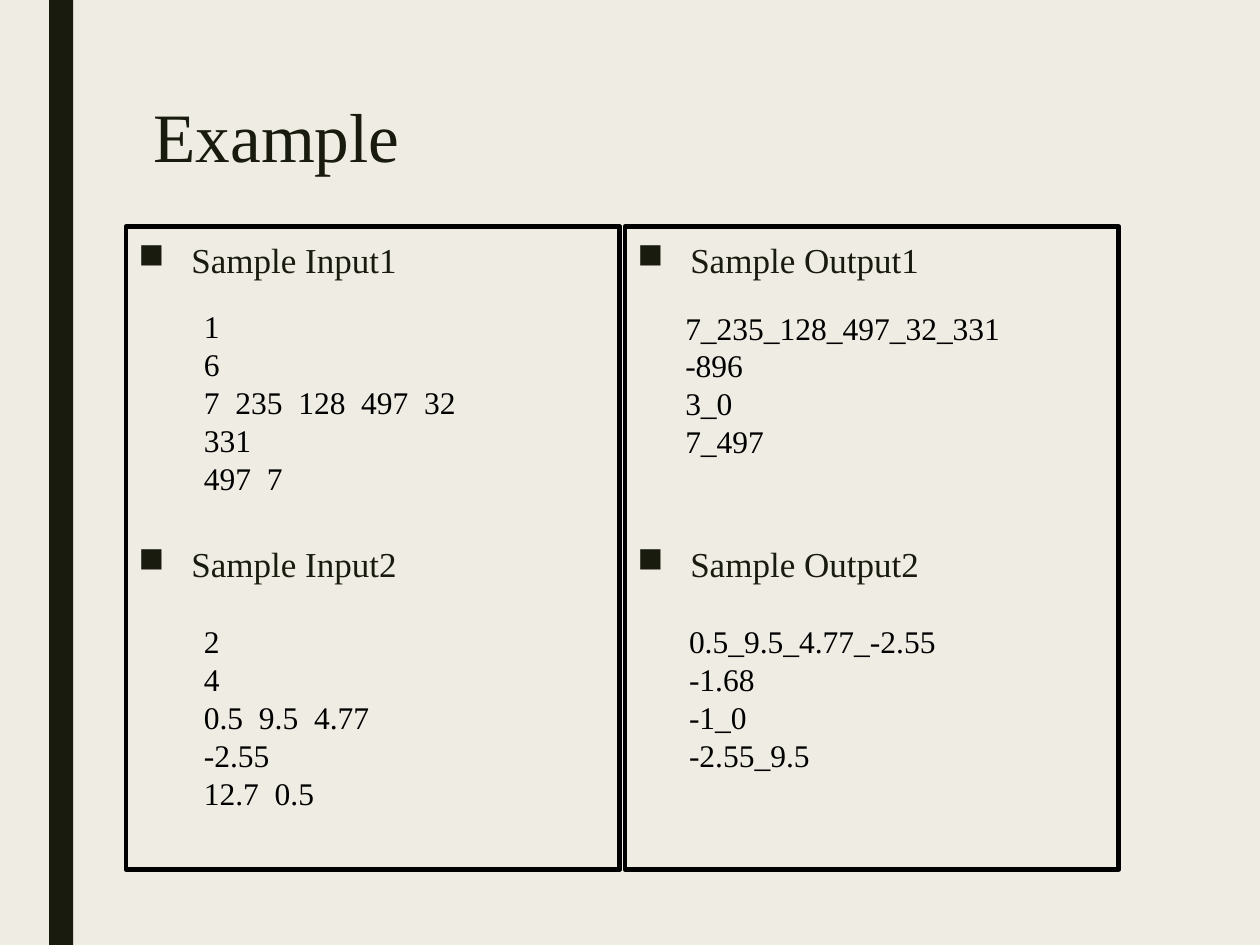
"""Build the slide with two pairs of sample inputs and outputs."""
from pptx import Presentation
from pptx import util as u
from pptx.dml.color import RGBColor
from pptx.enum import shapes, text
from pptx.oxml.ns import qn
from lxml import etree

OLIVE = RGBColor(0x19, 0x1B, 0x0E)
BLACK = RGBColor(0, 0, 0)
CREAM = RGBColor(0xEF, 0xED, 0xE3)
FONT = "Times New Roman"

deck = Presentation()
deck.slide_width, deck.slide_height = u.Inches(10), u.Inches(7.5)
slide = deck.slides.add_slide(deck.slide_layouts[6])
slide.background.fill.solid()
slide.background.fill.fore_color.rgb = CREAM


def add_text(left, top, width, height, lines, size, color):
    box = slide.shapes.add_textbox(*map(u.Inches, (left, top, width, height)))
    frame = box.text_frame
    frame.word_wrap = True
    frame.text = "\n".join(lines)
    for paragraph in frame.paragraphs:
        for run in paragraph.runs:
            run.font.name, run.font.size = FONT, u.Pt(size)
            run.font.color.rgb = color
    return frame


def add_rectangle(left, top, width, height):
    rectangle = slide.shapes.add_shape(
        shapes.MSO_SHAPE.RECTANGLE, *map(u.Inches, (left, top, width, height)))
    rectangle.shadow.inherit = False
    return rectangle


side_bar = add_rectangle(0.39, 0, 0.19, 7.5)
side_bar.fill.solid()
side_bar.fill.fore_color.rgb = OLIVE
side_bar.line.fill.background()

title = add_text(1.12, 0.75, 7.2, 0.73, ["Example"], 39.6, OLIVE)
title.vertical_anchor = text.MSO_ANCHOR.MIDDLE
title.paragraphs[0].line_spacing = 0.89

for left, kind in ((1, "Input"), (4.96, "Output")):
    headings = add_text(left, 1.87, 4.08, 4.94,
                        [f"Sample {kind}{number}" for number in (1, 2)], 20, OLIVE)
    for heading, space_before in zip(headings.paragraphs, (10, 149)):
        heading.line_spacing = 0.94
        heading.space_before, heading.space_after = u.Pt(space_before), u.Pt(2)
        properties = heading._p.get_or_add_pPr()
        properties.set("marL", str(u.Inches(0.42)))
        properties.set("indent", str(-u.Inches(0.42)))
        etree.SubElement(properties, qn("a:buChar")).set("char", "■")

    frame = add_rectangle(left, 1.8, 3.92, 5.1)
    frame.fill.background()
    frame.line.color.rgb = BLACK
    frame.line.width = u.Pt(2.75)
    etree.SubElement(frame.line._get_or_add_ln(), qn("a:round"))

samples = (
    (1.52, 2.39, 2.5, ["1", "6", "7  235  128  497  32  331", "497  7"]),
    (5.34, 2.4, 3.65, ["7_235_128_497_32_331", "-896", "3_0", "7_497"]),
    (1.52, 4.89, 2.07, ["2", "4", "0.5  9.5  4.77  -2.55", "12.7  0.5"]),
    (5.37, 4.89, 3.65, ["0.5_9.5_4.77_-2.55", "-1.68", "-1_0", "-2.55_9.5"]),
)
for left, top, width, lines in samples:
    add_text(left, top, width, 1.31, lines, 18, BLACK)

deck.save("out.pptx")
